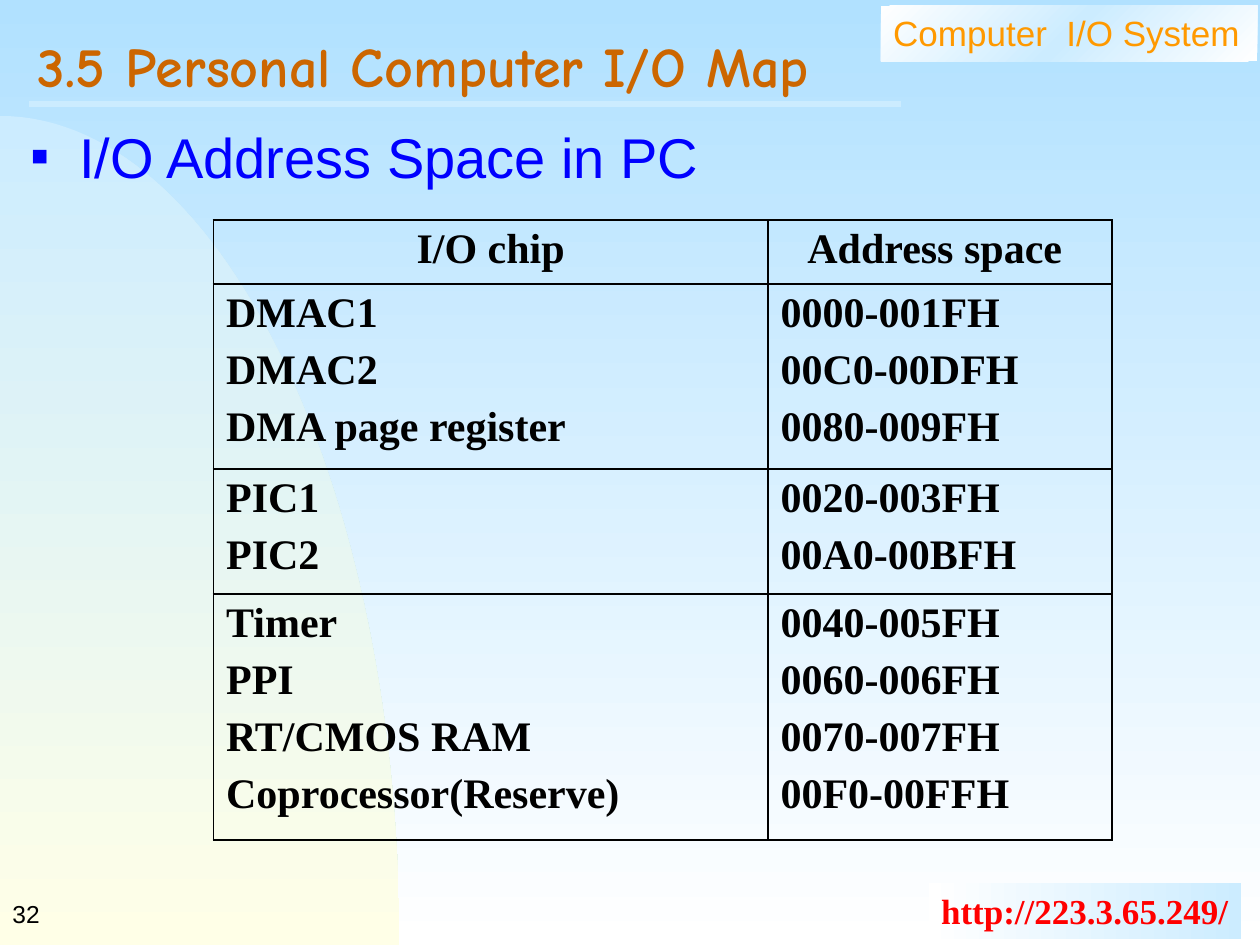
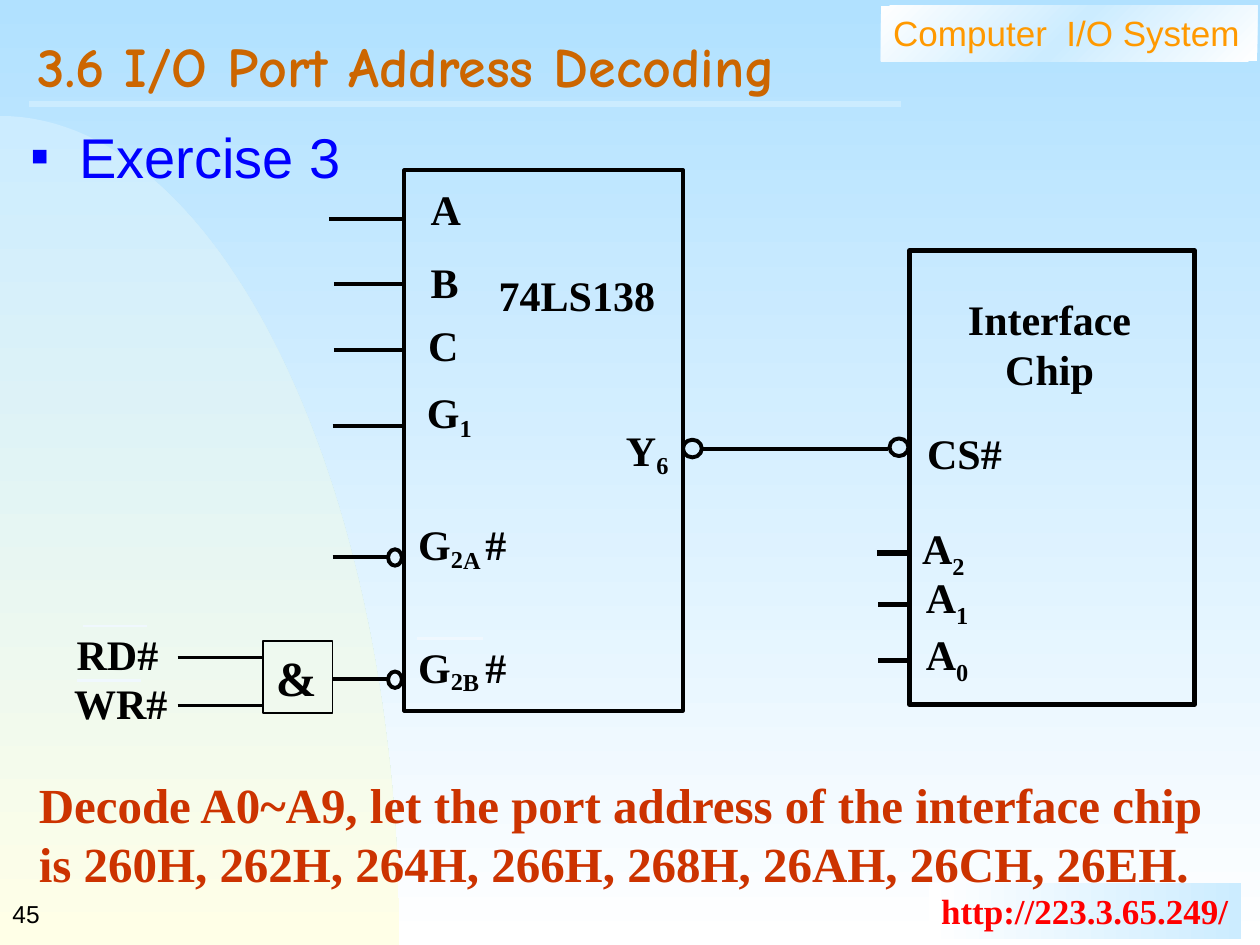
from copy import deepcopy
from dataclasses import dataclass

from lxml import etree
from pptx import Presentation
from pptx import util as u
from pptx.dml.color import RGBColor
from pptx.enum import shapes, text
from pptx.oxml.ns import qn

# Grid: 100 columns by 75 rows on a 10 by 7.5 inch slide
WIDE, HIGH = u.Inches(10), u.Inches(7.5)
COLS, ROWS = 100, 75

HUES = {
    "sky": "B1E1FF", "ice": "CCECFF", "cream": "FFFFE7", "white": "FFFFFF",
    "black": "000000", "blue": "0000FF", "red": "FF0000", "gold": "FF9900",
    "brown": "CC6600", "rust": "CC3300", "pale": "F0F8FE",
}
SANS, SERIF, COMIC = "Arial", "Times New Roman", "Comic Neue"


@dataclass(frozen=True)
class Box:
    left: float
    top: float
    wide: float
    high: float


@dataclass(frozen=True)
class Style:
    font: str = SERIF
    size: float = 24
    hue: str = "black"
    bold: bool = True


@dataclass(frozen=True)
class Wire:
    start: float
    end: float
    row: float
    width: float = 2.25
    hue: str = "black"


@dataclass(frozen=True)
class Label:
    box: Box
    runs: tuple  # (words, baseline shift in percent)


PLAIN = Style()
HEAD = Style(COMIC, 32, "brown")
POINT = Style(SANS, 32, "blue", False)
BAND = Style(SANS, 20, "gold", False)
LINK = Style(SERIF, 20, "red")
PAGE = Style(SANS, 14, "black", False)
TASK = Style(SERIF, 28, "rust")
GATE = Style(SERIF, 28)


def col(n: float) -> int:
    return round(WIDE * n / COLS)


def row(n: float) -> int:
    return round(HIGH * n / ROWS)


def place(box: Box) -> tuple:
    return col(box.left), row(box.top), col(box.wide), row(box.high)


def rgb(hue: str) -> RGBColor:
    return RGBColor.from_string(HUES[hue])


# Text
def add_run(para, words: str, style: Style, shift: int = 0) -> None:
    run = para.add_run()
    run.text = words
    font = run.font
    font.name, font.size, font.bold = style.font, u.Pt(style.size), style.bold
    font.color.rgb = rgb(style.hue)
    if shift:
        run._r.get_or_add_rPr().set("baseline", str(shift * 1000))


def write(frame, lines: tuple, style: Style, align=text.PP_ALIGN.LEFT, gap: float = 0) -> None:
    """Each line is a string or a tuple of (words, shift) runs."""
    for i, line in enumerate(lines):
        para = frame.add_paragraph() if i else frame.paragraphs[0]
        para.alignment = align
        if i and gap:
            para.space_before = u.Pt(gap)
        for words, shift in ([(line, 0)] if isinstance(line, str) else line):
            add_run(para, words, style, shift)


def add_text(slide, box: Box, lines: tuple, style: Style, wrap: bool = True,
             anchor=text.MSO_ANCHOR.TOP, align=text.PP_ALIGN.LEFT):
    frame = slide.shapes.add_textbox(*place(box)).text_frame
    frame.word_wrap, frame.vertical_anchor = wrap, anchor
    if not wrap:
        frame.auto_size = text.MSO_AUTO_SIZE.SHAPE_TO_FIT_TEXT
    write(frame, lines, style, align)
    return frame


# Shapes
def shade(fill, host, hues: tuple, angle: int) -> None:
    fill.gradient()
    fill.gradient_angle = (360 - angle) % 360
    stops = next(host.iter(qn("a:gsLst")))
    while len(stops) < len(hues):
        stops.append(deepcopy(stops[0]))
    for i, (stop, hue) in enumerate(zip(fill.gradient_stops, hues)):
        stop.position = i / (len(hues) - 1)
        stop.color.rgb = rgb(hue)


def add_form(slide, kind, box: Box, width: float = 0):
    form = slide.shapes.add_shape(kind, *place(box))
    form.shadow.inherit = False
    form.fill.background()
    if width:
        form.line.color.rgb, form.line.width = rgb("black"), u.Pt(width)
    else:
        form.line.fill.background()
    form.text_frame.vertical_anchor = text.MSO_ANCHOR.TOP
    return form


def add_wire(slide, wire: Wire) -> None:
    y = row(wire.row)
    line = slide.shapes.add_connector(
        shapes.MSO_CONNECTOR.STRAIGHT, col(wire.start), y, col(wire.end), y)
    line.line.color.rgb, line.line.width = rgb(wire.hue), u.Pt(wire.width)
    etree.SubElement(line._element.spPr, qn("a:effectLst"))


def add_sweep(slide) -> None:
    """Quarter arc from the left edge down to the bottom edge."""
    knots = ((0, 9.2), (17.5, 9.2), (31.7, 38.7), (31.7, 75))
    steps = 60
    dots = []
    for i in range(steps + 1):
        t = i / steps
        parts = ((1 - t) ** 3, 3 * t * (1 - t) ** 2, 3 * t * t * (1 - t), t ** 3)
        x, y = (sum(p * k[axis] for p, k in zip(parts, knots)) for axis in (0, 1))
        dots.append((col(x), row(y)))
    pen = slide.shapes.build_freeform(*dots[0])
    pen.add_line_segments(dots[1:] + [(0, HIGH)], close=True)
    form = pen.convert_to_shape()
    form.shadow.inherit = False
    form.line.fill.background()
    shade(form.fill, form._element, ("ice", "cream"), 90)


def add_band(slide, box: Box, words: str, style: Style, hues: tuple, angle: int) -> None:
    band = add_form(slide, shapes.MSO_SHAPE.RECTANGLE, box)
    shade(band.fill, band._element, hues, angle)
    band.text_frame.word_wrap = False
    write(band.text_frame, (words,), style)


# Parts shared by all slides
def add_base(deck, title: str, point: str, page: int):
    slide = deck.slides.add_slide(deck.slide_layouts[6])
    shade(slide.background.fill, slide._element, ("sky", "white"), 90)
    add_sweep(slide)
    add_band(slide, Box(69.9, 0.45, 29.9, 4.4), "Computer  I/O System", BAND,
             ("white", "ice", "white"), 45)
    add_band(slide, Box(73.7, 70.1, 24.8, 4.4), "http://223.3.65.249/", LINK,
             ("white", "ice"), 0)
    add_wire(slide, Wire(2.3, 71.5, 8.25, 3, "ice"))
    middle = text.MSO_ANCHOR.MIDDLE
    add_text(slide, Box(0, 70, 20.8, 5), (str(page),), PAGE, anchor=middle)
    head = add_text(slide, Box(2, 2, 95.5, 7.7), (title,), HEAD, anchor=middle)
    head.paragraphs[0].line_spacing = 0.7

    # Bulleted line under the title
    body = add_text(slide, Box(1.5, 9.25, 96, 6), (point,), POINT)
    props = body.paragraphs[0]._p.get_or_add_pPr()
    props.set("marL", str(col(3.8)))
    props.set("indent", str(-col(3.8)))
    tint = etree.SubElement(props, qn("a:buClr"))
    etree.SubElement(tint, qn("a:srgbClr"), val=HUES["blue"])
    etree.SubElement(props, qn("a:buSzPct"), val="50000")
    etree.SubElement(props, qn("a:buFont"), typeface=SANS)
    etree.SubElement(props, qn("a:buChar"), char="■")
    return slide


# Address table
CHIPS = (
    (("I/O chip",), ("Address space ",)),
    (("DMAC1", "DMAC2", "DMA page register"),
     ("0000-001FH", "00C0-00DFH", "0080-009FH")),
    (("PIC1", "PIC2"), ("0020-003FH", "00A0-00BFH")),
    (("Timer", "PPI", "RT/CMOS RAM", "Coprocessor(Reserve)"),
     ("0040-005FH", "0060-006FH", "0070-007FH", "00F0-00FFH")),
)
SPANS, RISES = (44, 27.3), (5.1, 14.7, 9.9, 19.5)


def add_edges(cell) -> None:
    props = cell._tc.get_or_add_tcPr()
    for i, side in enumerate("LRTB"):
        edge = etree.Element(qn(f"a:ln{side}"), w=str(u.Pt(1.08)))
        fill = etree.SubElement(edge, qn("a:solidFill"))
        etree.SubElement(fill, qn("a:srgbClr"), val=HUES["black"])
        props.insert(i, edge)


def add_map(slide) -> None:
    box = Box(16.95, 17.45, sum(SPANS), sum(RISES))
    table = slide.shapes.add_table(len(RISES), len(SPANS), *place(box)).table
    table.first_row = table.horz_banding = False
    for part, span in zip(table.columns, SPANS):
        part.width = col(span)
    for i, (part, rise) in enumerate(zip(table.rows, RISES)):
        part.height = row(rise)
        align = text.PP_ALIGN.LEFT if i else text.PP_ALIGN.CENTER
        for cell, lines in zip(part.cells, CHIPS[i]):
            cell.fill.background()
            add_edges(cell)
            write(cell.text_frame, lines, PLAIN, align, gap=6)


# Decoder circuit
BLOCKS = ((Box(32.1, 13.5, 22.1, 42.9), 2.25), (Box(72.2, 19.9, 22.6, 36), 3))
RINGS = (Box(70.6, 34.8, 1.5, 1.4), Box(54.2, 34.9, 1.5, 1.4),
         Box(30.8, 43.6, 1.1, 1.3), Box(30.8, 53.3, 1.1, 1.3))
WIRES = (
    Wire(26.1, 32.1, 17.35), Wire(26.5, 32.1, 22.55), Wire(26.5, 32.1, 27.75),
    Wire(26.4, 31.9, 33.8), Wire(26.4, 30.8, 44.2), Wire(26.4, 30.8, 53.9),
    Wire(55.6, 70.5, 35.6),
    Wire(69.6, 72.2, 43.9, 3), Wire(69.7, 72.4, 48, 3), Wire(69.7, 72.4, 52.4, 3),
    Wire(14.1, 20.9, 52.2, 1.5), Wire(14.1, 20.9, 56, 1.5),
    Wire(33.1, 38.3, 50.7, 1.5, "pale"),
    Wire(6.6, 11.7, 49.7, 1.5, "pale"), Wire(6.1, 11.2, 54, 1.5, "pale"),
)
LABELS = (
    Label(Box(33.2, 14.1, 4.4, 5), (("A", 0),)),
    Label(Box(33.2, 19.9, 4.2, 5), (("B", 0),)),
    Label(Box(33, 24.9, 4.4, 5), (("C", 0),)),
    Label(Box(38.6, 20.9, 14.4, 5), (("74LS138", 0),)),
    Label(Box(32.9, 30.2, 5.7, 5.4), (("G", 0), ("1", -20))),
    Label(Box(48.7, 33.2, 5.4, 5.3), (("Y", 0), ("6", -18))),
    Label(Box(32.2, 40.7, 9.1, 5.4), (("G", 0), ("2", -18), ("A ", -20), ("#", 0))),
    Label(Box(32.2, 50.4, 9, 5.4), (("G", 0), ("2", -18), ("B ", -20), ("#", 0))),
    Label(Box(72.6, 33.4, 7.9, 5), (("CS#", 0),)),
    Label(Box(72.2, 41, 5.4, 5.6), (("A", 0), ("2", -25))),
    Label(Box(72.5, 44.9, 5.4, 5.6), (("A", 0), ("1", -25))),
    Label(Box(72.5, 49.4, 5.4, 5.6), (("A", 0), ("0", -25))),
    Label(Box(5.1, 49.4, 8.5, 5), (("RD#", 0),)),
    Label(Box(4.9, 53.3, 9.4, 5), (("WR#", 0),)),
)


def add_plan(slide) -> None:
    for box, width in BLOCKS:
        add_form(slide, shapes.MSO_SHAPE.RECTANGLE, box, width)
    for box in RINGS:
        add_form(slide, shapes.MSO_SHAPE.OVAL, box, 2.25)
    for wire in WIRES:
        add_wire(slide, wire)
    for label in LABELS:
        add_text(slide, label.box, (label.runs,), PLAIN, wrap=False)
    add_text(slide, Box(75.5, 22.8, 15.6, 9), ("Interface", "Chip"), PLAIN,
             wrap=False, align=text.PP_ALIGN.CENTER)
    gate = add_form(slide, shapes.MSO_SHAPE.RECTANGLE, Box(20.9, 50.9, 5.5, 5.7), 1)
    write(gate.text_frame, ("&",), GATE)


def main() -> None:
    deck = Presentation()
    deck.slide_width, deck.slide_height = WIDE, HIGH

    add_map(add_base(deck, "3.5 Personal Computer I/O Map", "I/O Address Space in PC", 32))

    slide = add_base(deck, "3.6 I/O Port Address Decoding", "Exercise 3", 45)
    add_text(slide, Box(2.1, 61, 94.7, 10.4),
             ("Decode A0~A9, let the port address of the interface chip is "
              "260H, 262H, 264H, 266H, 268H, 26AH, 26CH, 26EH.",), TASK)
    add_plan(slide)

    deck.save("out.pptx")


if __name__ == "__main__":
    main()
